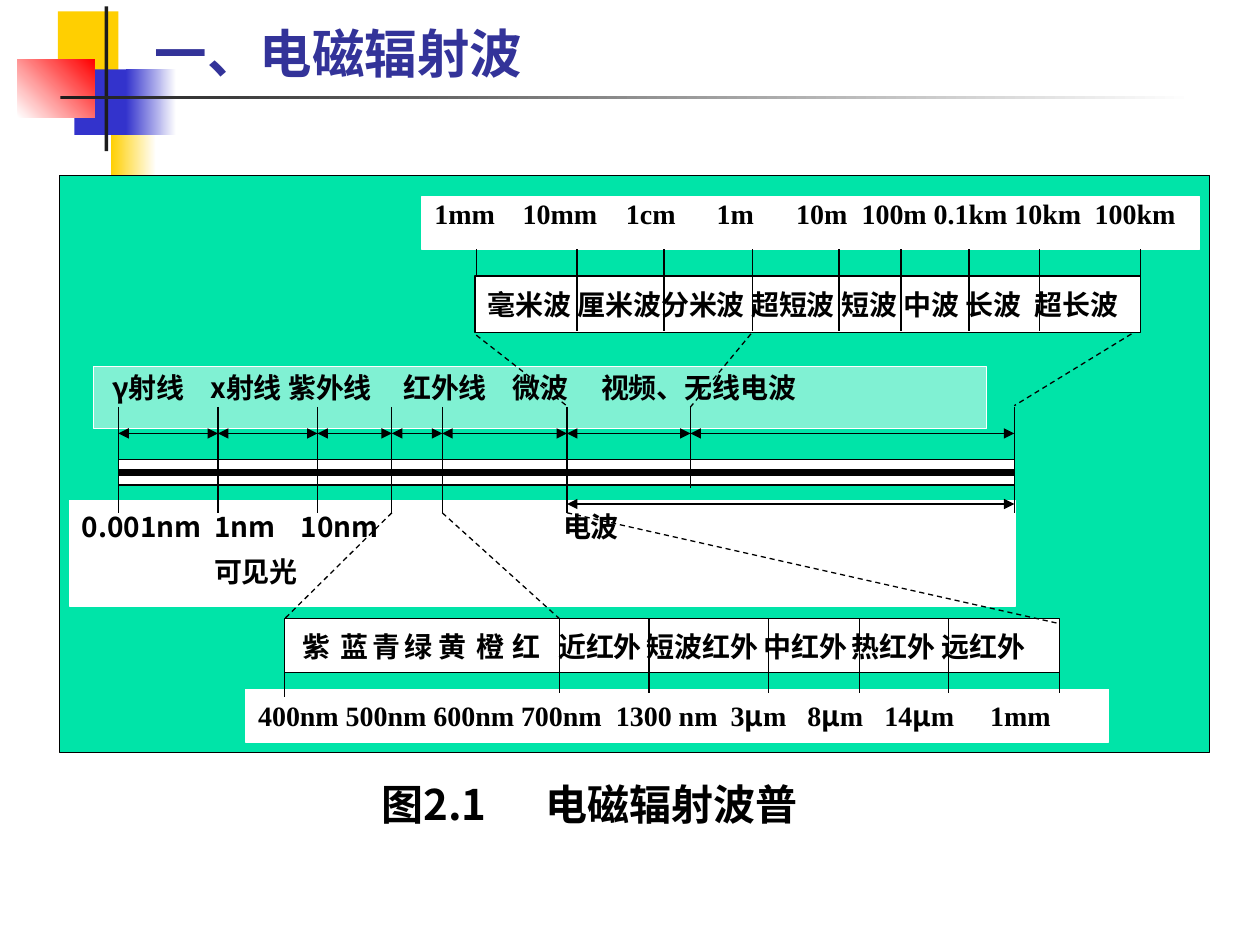
from dataclasses import dataclass
from itertools import pairwise

from lxml import etree
from pptx import Presentation
from pptx.dml.color import RGBColor
from pptx.enum.dml import MSO_LINE
from pptx.enum.shapes import MSO_CONNECTOR, MSO_SHAPE
from pptx.enum.text import MSO_ANCHOR, MSO_AUTO_SIZE, PP_ALIGN
from pptx.oxml.ns import qn
from pptx.util import Cm, Pt

RECTANGLE = MSO_SHAPE.RECTANGLE
STRAIGHT = MSO_CONNECTOR.STRAIGHT
DASH = MSO_LINE.DASH
TOP = MSO_ANCHOR.TOP
FIXED, GROW = MSO_AUTO_SIZE.NONE, MSO_AUTO_SIZE.SHAPE_TO_FIT_TEXT
LEFT, JUSTIFY = PP_ALIGN.LEFT, PP_ALIGN.JUSTIFY

BLACK = RGBColor(0x00, 0x00, 0x00)
WHITE = RGBColor(0xFF, 0xFF, 0xFF)
GREEN = RGBColor(0x00, 0xE4, 0xA8)
YELLOW = RGBColor(0xFF, 0xCF, 0x01)
BLUE = RGBColor(0x33, 0x33, 0xCC)
RED = RGBColor(0xFF, 0x00, 0x00)
CHARCOAL = RGBColor(0x1C, 0x1C, 0x1C)
TITLE_BLUE = RGBColor(0x33, 0x33, 0x99)

SANS = "Noto Sans CJK SC"
SERIF = "Times New Roman"


@dataclass
class Area:
    left: float
    top: float
    width: float
    height: float


@dataclass
class Block:
    area: Area
    color: RGBColor
    fade_to: RGBColor | None = None
    angle: int = 0


@dataclass
class LabelRow:
    area: Area
    lines: list[tuple[str, float]]
    stops: list[float]
    font: str = SANS
    outline: RGBColor = WHITE
    inset: float = 0.1
    opacity: int = 100


@dataclass
class Stroke:
    start: tuple[float, float]
    end: tuple[float, float]
    dashed: bool = False
    arrows: bool = False
    weight: float = 0.75


def inch(value: float) -> Cm:
    return Cm(value * 2.54)


def place(area: Area) -> list[Cm]:
    return [inch(side) for side in (area.left, area.top, area.width, area.height)]


def add_block(page, block: Block, outline: RGBColor | None = None):
    box = page.shapes.add_shape(RECTANGLE, *place(block.area))
    box.shadow.inherit = False
    if block.fade_to is None:
        box.fill.solid()
        box.fill.fore_color.rgb = block.color
    else:
        box.fill.gradient()
        box.fill.gradient_angle = block.angle
        for stop, color in zip(box.fill.gradient_stops, (block.color, block.fade_to)):
            stop.color.rgb = color
    if outline is None:
        box.line.fill.background()
    else:
        box.line.color.rgb = outline
        box.line.width = Pt(0.75)
    return box


def format_frame(frame, inset: float, sizing) -> None:
    frame.word_wrap = True
    frame.auto_size = sizing
    frame.vertical_anchor = TOP
    frame.margin_left = inch(inset)
    frame.margin_right = inch(0.1)
    frame.margin_top = frame.margin_bottom = inch(0.05)


def format_paragraph(para, stops: list[float], size: float, name: str, color: RGBColor, align) -> None:
    para.alignment = align
    properties = para._p.get_or_add_pPr()
    if stops:
        tabs = etree.SubElement(properties, qn("a:tabLst"))
        for stop in stops:
            etree.SubElement(tabs, qn("a:tab"), pos=str(inch(stop)), algn="l")
    para.font.size = Pt(size)
    para.font.bold = True
    para.font.name = name
    para.font.color.rgb = color
    etree.SubElement(properties.find(qn("a:defRPr")), qn("a:ea"), typeface=SANS)


def add_label_row(page, row: LabelRow) -> None:
    box = add_block(page, Block(row.area, WHITE), row.outline)
    if row.opacity < 100:
        color = box._element.spPr.find(qn("a:solidFill"))[0]
        etree.SubElement(color, qn("a:alpha"), val=str(row.opacity * 1000))
    frame = box.text_frame
    format_frame(frame, row.inset, FIXED)
    for index, (text, spacing) in enumerate(row.lines):
        para = frame.add_paragraph() if index else frame.paragraphs[0]
        para.line_spacing = spacing
        format_paragraph(para, row.stops, 16, row.font, BLACK, JUSTIFY)
        for part_index, part in enumerate(text.split("μ")):
            if part_index:
                symbol = para.add_run()
                symbol.text = "μ"
                symbol.font.name = SANS
            span = para.add_run()
            span.text = part


def add_stroke(page, stroke: Stroke):
    ends = [inch(value) for value in (*stroke.start, *stroke.end)]
    line = page.shapes.add_connector(STRAIGHT, *ends)
    line.line.color.rgb = BLACK
    line.line.width = Pt(stroke.weight)
    if stroke.dashed:
        line.line.dash_style = DASH
    if stroke.arrows:
        for tag in ("a:headEnd", "a:tailEnd"):
            etree.SubElement(line.line._get_or_add_ln(), qn(tag), type="triangle")
    etree.SubElement(line._element.spPr, qn("a:effectLst"))
    return line


DECORATION = [
    Block(Area(0.46, 0.09, 0.48, 0.52), YELLOW),
    Block(Area(0.88, 0.91, 0.36, 0.52), YELLOW, WHITE),
    Block(Area(0.59, 0.55, 0.46, 0.52), BLUE),
    Block(Area(1, 0.55, 0.4, 0.52), BLUE, WHITE),
    Block(Area(0.14, 0.47, 0.61, 0.46), WHITE, RED, 45),
    Block(Area(0.83, 0.05, 0.03, 1.15), CHARCOAL),
    Block(Area(0.48, 0.76, 9, 0.03), CHARCOAL, WHITE),
]
WAVELENGTHS = LabelRow(
    Area(0.55, 3.97, 7.51, 0.84),
    [("0.001nm\t1nm\t10nm\t电波", 1.1), ("\t可见光", 1.35)], [1.05, 1.74, 3.82])
LABEL_ROWS = [
    LabelRow(Area(0.74, 2.91, 7.09, 0.49),
             [("γ射线\tx射线 紫外线\t红外线\t微波\t视频、无线电波", 0.96)],
             [0.78, 2.31, 3.18, 3.88], inset=0.15, opacity=50),
    LabelRow(Area(2.26, 4.91, 6.15, 0.43),
             [("紫\t蓝\t青\t绿\t黄\t橙\t红\t近红外\t短波红外\t中红外\t热红外\t远红外", 1.15)],
             [0.3, 0.56, 0.81, 1.08, 1.38, 1.67, 2.03, 2.73, 3.66, 4.36, 5.07],
             SERIF, BLACK, 0.14),
    LabelRow(Area(1.95, 5.47, 6.85, 0.42),
             [("400nm 500nm 600nm 700nm\t1300 nm\t3μm\t8μm\t14μm\t1mm", 1.1)],
             [2.84, 3.75, 4.36, 4.97, 5.81], SERIF),
    LabelRow(Area(3.77, 2.19, 5.28, 0.45),
             [("毫米波 厘米波分米波 超短波 短波 中波 长波\t超长波", 1.15)],
             [4.34], SERIF, BLACK),
    LabelRow(Area(3.35, 1.56, 6.17, 0.42),
             [("1mm\t10mm\t1cm\t1m\t10m\t100m 0.1km 10km\t100km", 0.8)],
             [0.7, 1.52, 2.24, 2.87, 3.39, 5.24], SERIF),
]
BAND_LIMITS = [0.94, 1.73, 2.52, 3.11, 3.51, 4.5, 5.48, 8.05]
INFRARED_LIMITS = [4.44, 5.15, 6.1, 6.82, 7.53, 8.41]
RADIO_LIMITS = [4.58, 5.27, 5.97, 6.66, 7.15, 7.69, 8.25]
RADIO_EDGES = [3.78, 9.05]
GUIDES = [
    ((3.11, 4.07), (2.26, 4.91)), ((3.51, 4.07), (4.44, 4.91)),
    ((4.5, 4.07), (8.41, 4.95)), ((3.78, 2.66), (4.51, 3.23)),
    ((5.96, 2.65), (5.48, 3.23)), ((8.98, 2.65), (8.05, 3.22)),
]
STROKES = [
    *(Stroke((x, 3.23), (x, 3.87 if x == 5.48 else 4.07)) for x in BAND_LIMITS),
    *(Stroke((x, 4.91), (x, 5.5)) for x in INFRARED_LIMITS),
    *(Stroke((x, 1.98), (x, 2.63)) for x in RADIO_LIMITS),
    *(Stroke((x, 1.98), (x, 2.19)) for x in RADIO_EDGES),
    Stroke((2.26, 5.32), (2.26, 5.53)),
    *(Stroke(start, end, dashed=True) for start, end in GUIDES),
    *(Stroke((a, 3.44), (b, 3.44), arrows=True) for a, b in pairwise(BAND_LIMITS)),
    Stroke((4.5, 4), (8.05, 4), arrows=True),
]


def main() -> None:
    deck = Presentation()
    deck.slide_width, deck.slide_height = inch(10), inch(7.5)
    page = deck.slides.add_slide(deck.slide_layouts[5])

    for block in DECORATION:
        add_block(page, block)

    title = page.shapes.title
    title.left, title.top, title.width, title.height = place(Area(1.13, 0.12, 6.94, 0.64))
    title.text_frame.text = "一、电磁辐射波"
    format_frame(title.text_frame, 0.1, FIXED)
    format_paragraph(title.text_frame.paragraphs[0], [], 30, SANS, TITLE_BLUE, LEFT)

    caption = page.shapes.add_textbox(*place(Area(2.93, 6.13, 3.81, 0.5)))
    caption.text_frame.text = "图2.1\t电磁辐射波普"
    format_frame(caption.text_frame, 0.1, GROW)
    format_paragraph(caption.text_frame.paragraphs[0], [1.3], 24, SANS, BLACK, LEFT)

    add_block(page, Block(Area(0.47, 1.39, 9.13, 4.58), GREEN), BLACK)
    add_label_row(page, WAVELENGTHS)
    band = add_block(page, Block(Area(0.94, 3.65, 7.11, 0.2), WHITE), BLACK)
    for row in LABEL_ROWS:
        add_label_row(page, row)
    for stroke in STROKES:
        add_stroke(page, stroke)

    axis = add_stroke(page, Stroke((0.94, 3.75), (8.05, 3.75), weight=4.5))
    axis.begin_connect(band, 1)
    axis.end_connect(band, 3)

    deck.save("out.pptx")


if __name__ == "__main__":
    main()
